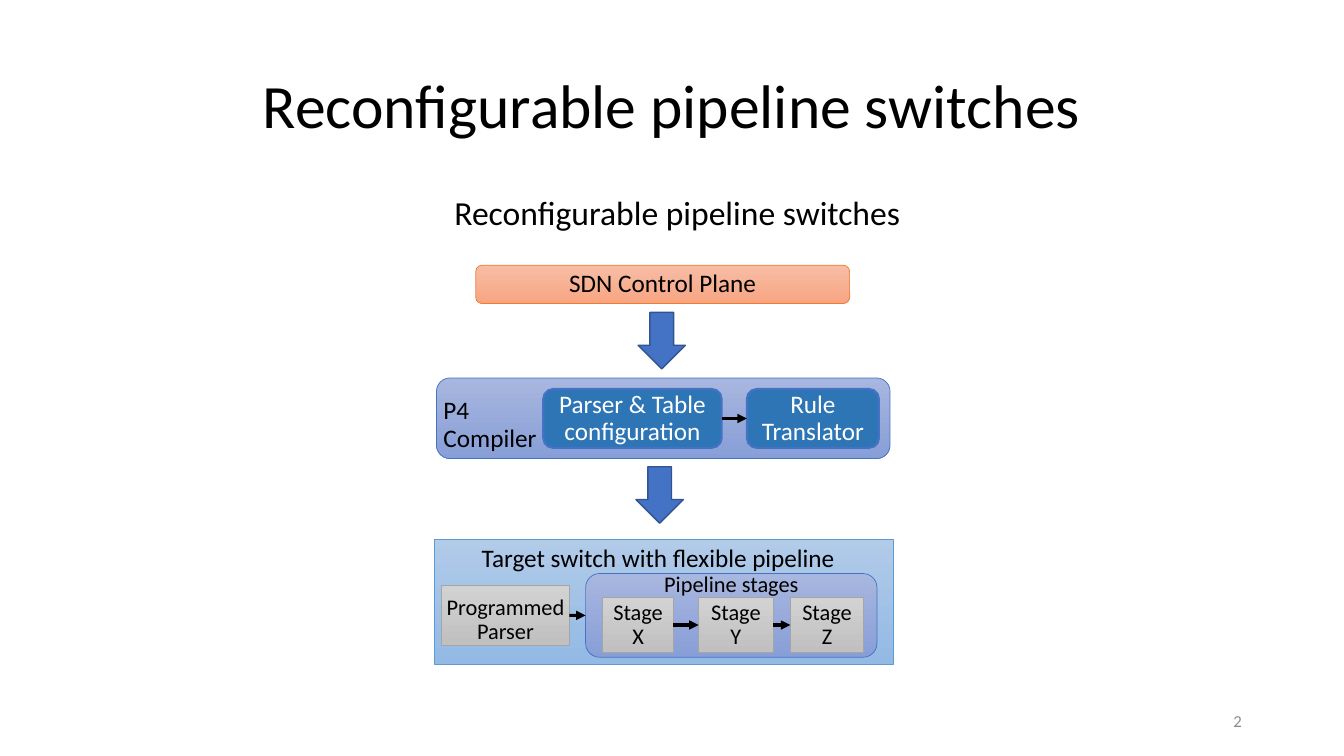
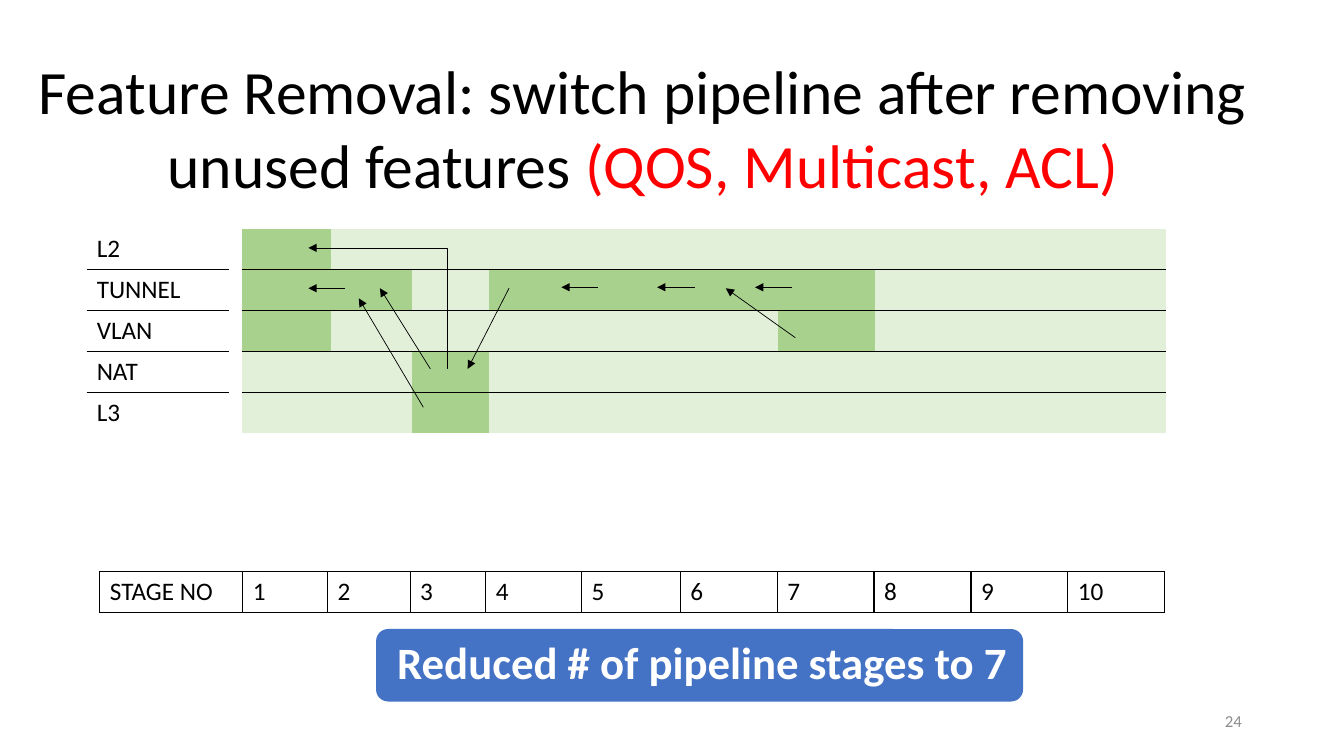
"""Build two slides on reconfigurable switch pipelines."""
import pptx
import pptx.dml.color
import pptx.enum.shapes
import pptx.enum.text
import pptx.oxml
import pptx.oxml.ns
import pptx.util

Pt = pptx.util.Pt
RGBColor = pptx.dml.color.RGBColor
SHAPE = pptx.enum.shapes.MSO_SHAPE
CONNECTOR = pptx.enum.shapes.MSO_CONNECTOR
ALIGN = pptx.enum.text.PP_ALIGN
ANCHOR = pptx.enum.text.MSO_ANCHOR
NAMESPACE = pptx.oxml.ns.nsdecls("a")
NO_TABLE_STYLE = "{2D5ABB26-0587-4C30-8999-92F81FD0307C}"

BLACK = RGBColor(0x00, 0x00, 0x00)
WHITE = RGBColor(0xFF, 0xFF, 0xFF)
RED = RGBColor(0xFF, 0x00, 0x00)
NUMBER_GREY = RGBColor(0x8C, 0x8C, 0x8C)
BLUE = RGBColor(0x44, 0x72, 0xC4)
DARK_BLUE = RGBColor(0x32, 0x54, 0x91)
DEEP_BLUE = RGBColor(0x2E, 0x75, 0xB6)
SKY_BLUE = RGBColor(0x5B, 0x9B, 0xD5)
ORANGE = RGBColor(0xED, 0x7D, 0x31)
GREY = RGBColor(0xA5, 0xA5, 0xA5)
USED_GREEN = RGBColor(0xA9, 0xD1, 0x8E)
PALE_GREEN = RGBColor(0xE2, 0xF0, 0xD9)
SKY_GRADIENT = (RGBColor(0xB1, 0xCB, 0xE9), RGBColor(0x93, 0xB9, 0xE4))
BLUE_GRADIENT = (RGBColor(0xA8, 0xB7, 0xDF), RGBColor(0x88, 0x9E, 0xD7))
ORANGE_GRADIENT = (RGBColor(0xF7, 0xBD, 0xA5), RGBColor(0xF8, 0xA5, 0x82))
GREY_GRADIENT = (RGBColor(0xD2, 0xD2, 0xD2), RGBColor(0xC0, 0xC0, 0xC0))


def add_box(slide, kind, bounds, runs=(), size=18, fill=None, line=None, weight=0.5,
            align=ALIGN.CENTER, spacing=0.9, bold=False, **frame_values):
    """Add a preset shape, or a text box when kind is None."""
    bounds = [Pt(length) for length in bounds]
    if kind is None:
        shape = slide.shapes.add_textbox(*bounds)
    else:
        shape = slide.shapes.add_shape(kind, *bounds)
        shape.shadow.inherit = False
        if isinstance(fill, RGBColor):
            shape.fill.solid()
            shape.fill.fore_color.rgb = fill
        else:
            shape.fill.gradient()
            shape.fill.gradient_angle = 270
            for stop, color in zip(shape.fill.gradient_stops, fill):
                stop.color.rgb = color
        if line is None:
            shape.line.fill.background()
        else:
            shape.line.color.rgb = line
            shape.line.width = Pt(weight)
    defaults = {"word_wrap": True, "vertical_anchor": ANCHOR.MIDDLE}
    for name, value in (defaults | frame_values).items():
        setattr(shape.text_frame, name, value)
    paragraph = shape.text_frame.paragraphs[0]
    for name, value in {"alignment": align, "line_spacing": spacing}.items():
        setattr(paragraph, name, value)
    for text, color in runs:
        run = paragraph.add_run()
        run.text = text
        for name, value in {"name": "Calibri", "size": Pt(size), "bold": bold}.items():
            setattr(run.font, name, value)
        run.font.color.rgb = color
    return shape


def add_arrow(slide, ends, weight, kind=CONNECTOR.STRAIGHT):
    """Add a black connector with an arrowhead at its end."""
    arrow = slide.shapes.add_connector(kind, *[Pt(length) for length in ends])
    arrow.line.color.rgb = BLACK
    arrow.line.width = Pt(weight)
    arrow.line._get_or_add_ln().append(
        pptx.oxml.parse_xml(f'<a:tailEnd {NAMESPACE} type="triangle"/>'))
    arrow._element.spPr.append(pptx.oxml.parse_xml(f"<a:effectLst {NAMESPACE}/>"))
    return arrow


presentation = pptx.Presentation()
presentation.slide_width = Pt(960)
presentation.slide_height = Pt(540)
slides = []
for number, title_bounds, title_runs, title_spacing in (
    ("2", (66, 25.2, 828, 104.4), [("Reconfigurable pipeline switches", BLACK)], 0.9),
    ("24", (7.9, 33.8, 902.9, 113.8),
     [("Feature Removal: switch pipeline after removing unused features ", BLACK),
      ("(QOS, Multicast, ACL)", RED)], 1.0),
):
    slide = presentation.slides.add_slide(presentation.slide_layouts[6])
    add_box(slide, None, title_bounds, title_runs, 44, spacing=title_spacing)
    add_box(slide, None, (678.2, 500.4, 216, 28.8), [(number, NUMBER_GREY)], 12,
            align=ALIGN.RIGHT, spacing=1.0)
    slides.append(slide)
overview, removal = slides

add_box(overview, None, (317.5, 133.2, 336.2, 36),
        [("Reconfigurable pipeline switches", BLACK)], 24, align=ALIGN.LEFT,
        spacing=1.0, word_wrap=False)
add_box(overview, SHAPE.ROUNDED_RECTANGLE, (339.8, 189.4, 267.1, 27.4),
        [("SDN Control Plane", BLACK)], fill=ORANGE_GRADIENT, line=ORANGE)
add_box(overview, SHAPE.ROUNDED_RECTANGLE, (311.8, 270, 324, 57.6),
        fill=BLUE_GRADIENT, line=BLUE)
add_box(overview, SHAPE.RECTANGLE, (310.3, 385.2, 327.6, 89.3),
        fill=SKY_GRADIENT, line=SKY_BLUE)
pipeline = add_box(overview, SHAPE.ROUNDED_RECTANGLE, (418.3, 409.7, 208.1, 59.8),
                   fill=BLUE_GRADIENT, line=BLUE)
for left, top in ((455.8, 223.2), (454.3, 333.4)):
    add_box(overview, SHAPE.DOWN_ARROW, (left, top, 33.8, 40.3),
            fill=BLUE, line=DARK_BLUE, weight=1)

add_box(overview, None, (316.8, 284.4, 72, 20.2), [("P4 Compiler", BLACK)],
        align=ALIGN.LEFT, vertical_anchor=ANCHOR.TOP, margin_left=0, margin_right=0,
        margin_top=0, margin_bottom=0)
configuration, translator = [
    add_box(overview, SHAPE.ROUNDED_RECTANGLE, (left, 277.9, width, 42),
            [(text, WHITE)], fill=DEEP_BLUE, line=BLUE, weight=1.5)
    for left, width, text in ((388.1, 127.4, "Parser & Table configuration"),
                              (533.5, 94.3, "Rule Translator"))
]
add_box(overview, None, (322.6, 385.9, 295.2, 26.6),
        [("Target switch with flexible pipeline", BLACK)])
add_box(overview, None, (466.6, 406.1, 111.6, 24.5), [("Pipeline stages", BLACK)], 16,
        word_wrap=False)
parser = add_box(overview, SHAPE.RECTANGLE, (315.4, 418.3, 91.4, 42.5),
                 [("Programmed Parser", BLACK)], 16, fill=GREY_GRADIENT, line=GREY,
                 margin_left=0, margin_right=0, margin_top=Pt(7), margin_bottom=0)
stage_x, stage_y, stage_z = [
    add_box(overview, SHAPE.RECTANGLE, (left, 427, width, 38.9), [(text, BLACK)], 16,
            fill=GREY_GRADIENT, line=GREY, margin_left=Pt(5), margin_right=Pt(5))
    for left, width, text in ((430.6, 50.4, "Stage X"), (499, 53.2, "Stage Y"),
                              (564.5, 52.6, "Stage Z"))
]
for source, target in ((configuration, translator), (parser, pipeline),
                       (stage_x, stage_y), (stage_y, stage_z)):
    arrow = add_arrow(overview, (0, 0, 0, 0), 2.25)
    arrow.begin_connect(source, 3)
    arrow.end_connect(target, 1)

features = ["L2", "TUNNEL", "VLAN", "NAT", "L3"]
used_stages = [{1}, {1, 2, 4, 5, 6, 7}, {1, 7}, {3}, {3}]
stage_header = ["STAGE NO"] + [str(stage) for stage in range(1, 11)]
row_height = 29.2
for left, top, widths, rows, boxed, shaded in (
    (71.3, 408.2, [102.2, 60.5, 59, 54, 68.4, 70.6] + [69.2] * 5, [stage_header], True, False),
    (172.8, 163.4, [63.4, 58.3, 54.7, 68.4] + [69.2] * 6, [[""] * 10] * 5, False, True),
    (61.9, 163.4, [101.5], [[feature] for feature in features], False, False),
):
    frame = removal.shapes.add_table(len(rows), len(widths), Pt(left), Pt(top),
                                     Pt(sum(widths)), Pt(row_height * len(rows)))
    table = frame.table
    table.first_row = table.horz_banding = False
    table._tbl.tblPr.find(pptx.oxml.ns.qn("a:tableStyleId")).text = NO_TABLE_STYLE
    for column, width in zip(table.columns, widths):
        column.width = Pt(width)
    for row_index, texts in enumerate(rows):
        table.rows[row_index].height = Pt(row_height)
        drawn = {"L": boxed, "R": boxed, "T": boxed or row_index > 0,
                 "B": boxed or row_index < len(rows) - 1}
        for column_index, text in enumerate(texts):
            cell = table.cell(row_index, column_index)
            for side, visible in drawn.items():
                paint = ('<a:solidFill><a:srgbClr val="000000"/></a:solidFill>'
                         if visible else "<a:noFill/>")
                cell._tc.get_or_add_tcPr().append(pptx.oxml.parse_xml(
                    f'<a:ln{side} {NAMESPACE} w="12700">{paint}</a:ln{side}>'))
            if shaded:
                used = column_index + 1 in used_stages[row_index]
                cell.fill.solid()
                cell.fill.fore_color.rgb = USED_GREEN if used else PALE_GREEN
            else:
                cell.fill.background()
            paragraph = cell.text_frame.paragraphs[0]
            paragraph.text = text
            for name, value in {"name": "Calibri", "size": Pt(18)}.items():
                setattr(paragraph.font, name, value)
            paragraph.font.color.rgb = BLACK

for ends in (
    (246.2, 205.9, 220.3, 205.9),
    (427, 205.2, 401, 205.2),
    (496.1, 205.2, 469.4, 205.2),
    (565.9, 205.2, 539.3, 205.2),
    (568.1, 241.2, 518.4, 205.9),
    (363.6, 205.9, 334.1, 263.5),
    (307.4, 263.5, 271.4, 205.9),
    (302.4, 290.9, 256.3, 213.1),
):
    add_arrow(removal, ends, 0.5)
elbow = add_arrow(removal, (319, 263.5, 220.3, 177.1), 0.5, CONNECTOR.ELBOW)
geometry = elbow._element.spPr.find(pptx.oxml.ns.qn("a:prstGeom"))
geometry.find(pptx.oxml.ns.qn("a:avLst")).append(
    pptx.oxml.parse_xml(f'<a:gd {NAMESPACE} name="adj1" fmla="val -300"/>'))

add_box(removal, SHAPE.ROUNDED_RECTANGLE, (268.6, 449.3, 462.2, 51.8),
        [("Reduced # of pipeline stages to 7", WHITE)], 32, fill=BLUE, bold=True,
        margin_left=Pt(4), margin_right=0)

presentation.save("out.pptx")
